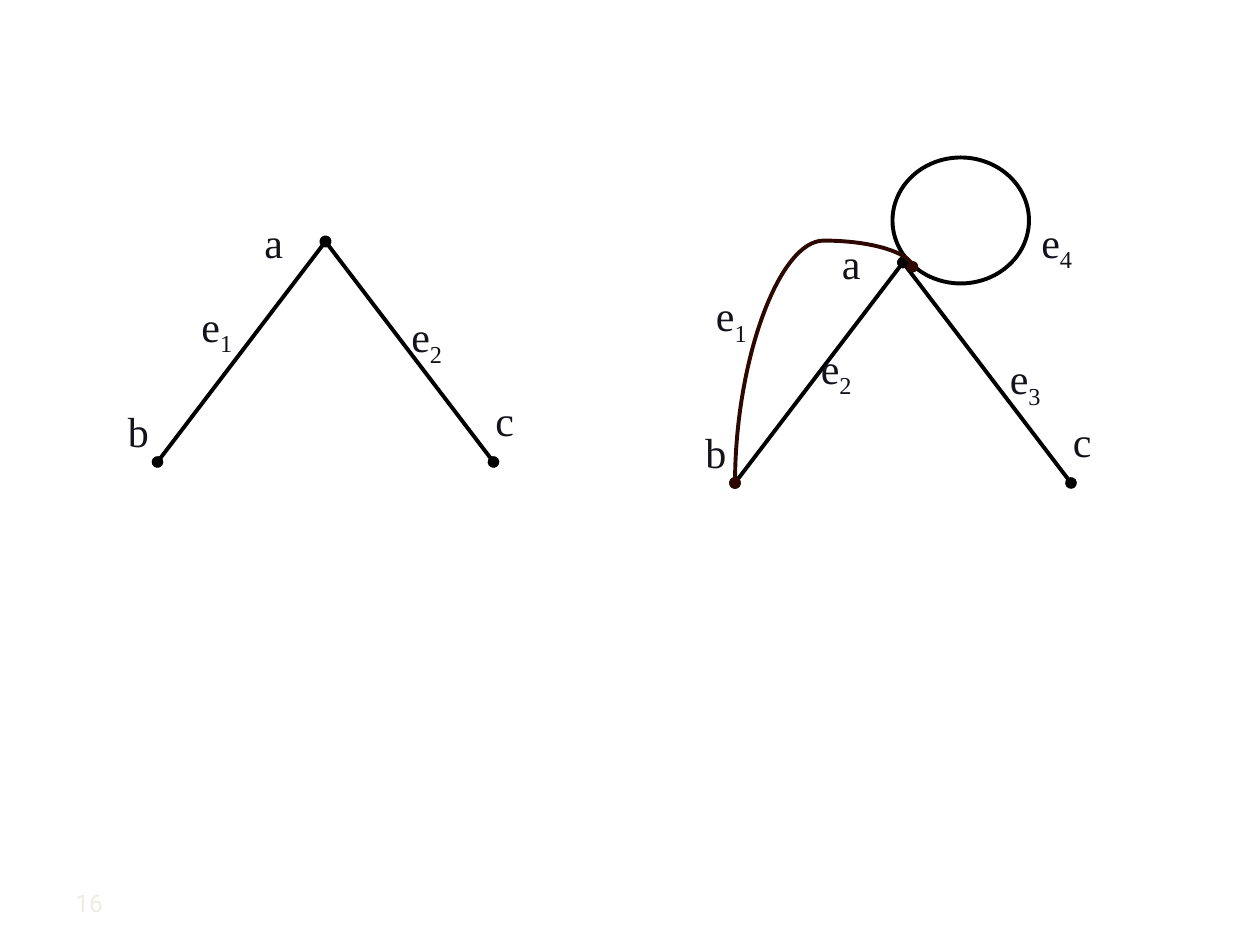
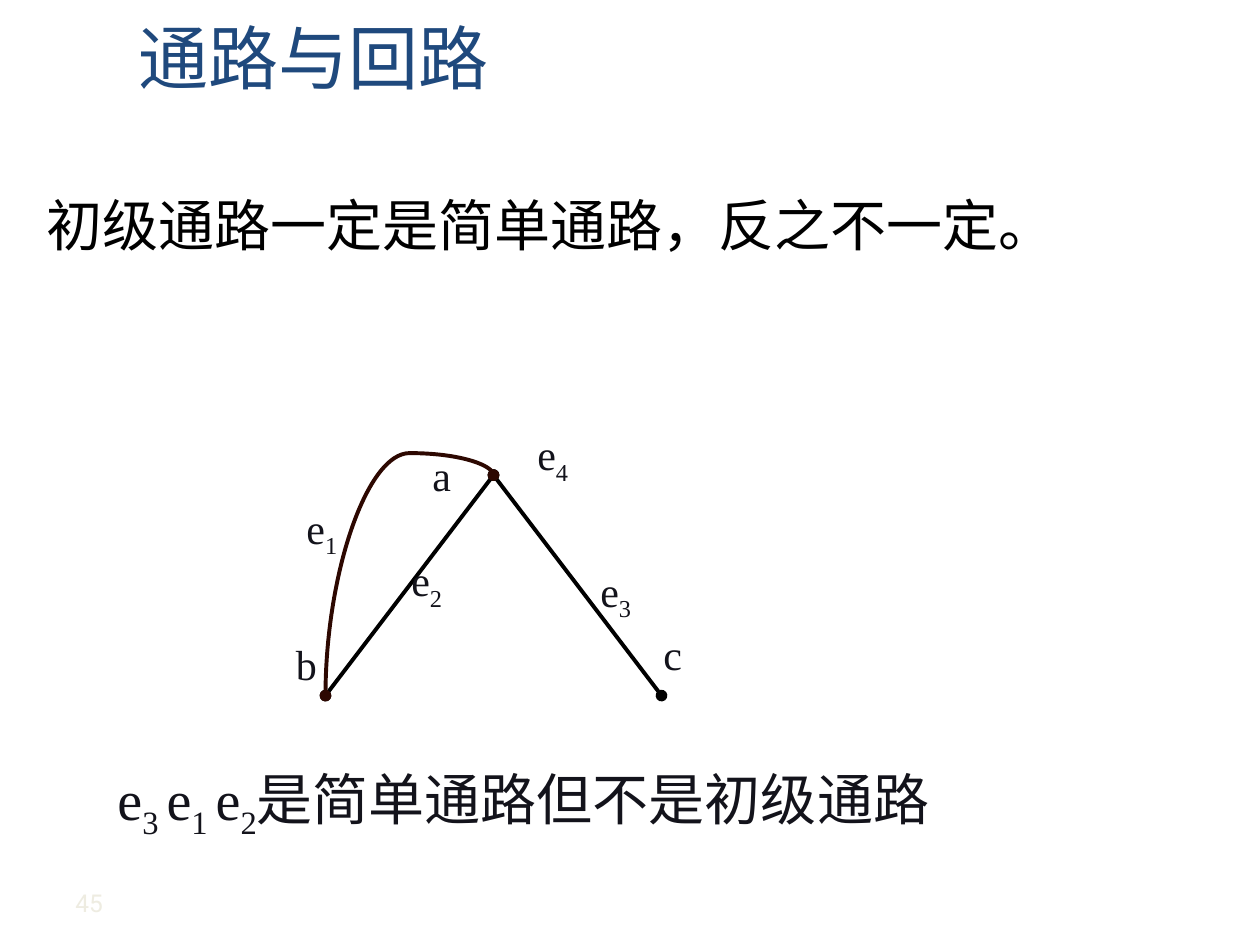
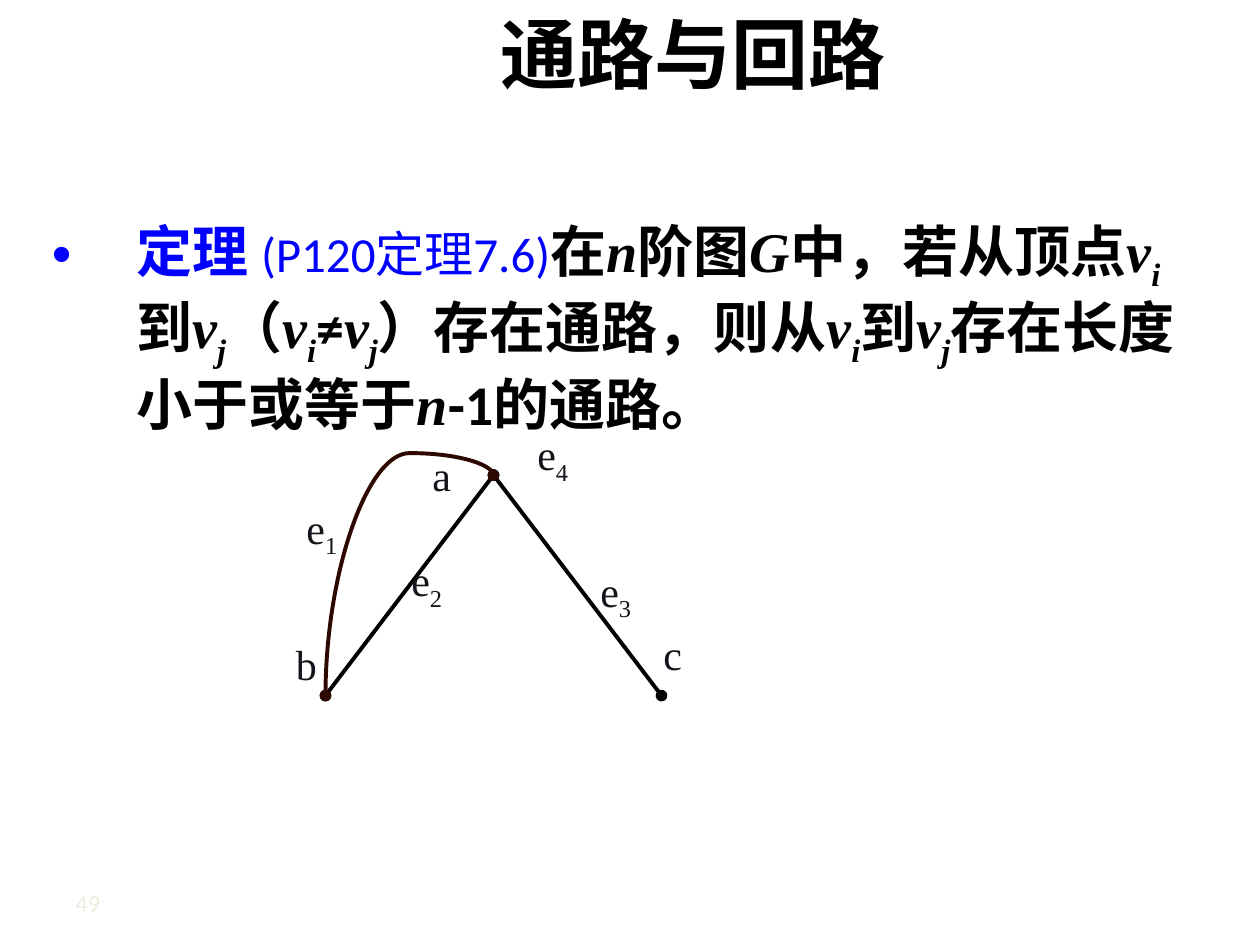
from lxml.etree import SubElement
from pptx import Presentation
from pptx.dml.color import RGBColor
from pptx.enum.shapes import MSO_CONNECTOR as Connector, MSO_SHAPE as Preset
from pptx.enum.text import MSO_ANCHOR as Anchor, MSO_AUTO_SIZE as AutoSize, PP_ALIGN as Align
from pptx.oxml.ns import qn
from pptx.util import Inches, Pt

# Shared look
BLACK, INK, BLUE = "000000", "13131B", "0000FF"
NAVY, BROWN, PALE = "1F497D", "2D0801", "EEECE1"
SERIF, SANS, ROBOTO, CJK = "Times New Roman", "Calibri", "Roboto", "Noto Sans CJK SC"
LINE_WIDTH = Pt(2.25)
TITLE = "通路与回路"
TITLE_BOX = (12, 0, 108, 10)
NUMBER_BOX = (6, 83.5, 28, 5)

# Graph geometry in cells, measured from the top vertex a
FOOT_X, FOOT_Y, CREST = 16, 21, 2.1
VERTEX_LABELS = {"a": (-7, -3), "b": (-20, 15), "c": (15, 14)}
PATH_LABELS = {"e1": (-13, 5), "e2": (7, 6)}
MULTI_LABELS = {"e1": (-19, 2), "e2": (-9, 7), "e3": (9, 8)}


def cells(*counts):
    """Lengths on a grid of 120 by 90 cells, twelve to the inch."""
    return [Inches(count / 12) for count in counts]


def color(hex_string):
    return RGBColor.from_string(hex_string)


def apply(target, values):
    for name, value in values.items():
        setattr(target, name, value)


# Text
def add_run(paragraph, text, size, font, ink, sub=False, **flags):
    run = paragraph.add_run()
    run.text = text
    apply(run.font, {"size": Pt(size), "name": font, **flags})
    run.font.color.rgb = color(ink)
    properties = run.font._element
    SubElement(properties, qn("a:ea"), typeface=CJK)
    if sub:
        properties.set("baseline", "-25000")


def fill_frame(shape, runs, anchor=Anchor.TOP, align=Align.LEFT):
    apply(shape.text_frame, {"word_wrap": True, "auto_size": AutoSize.NONE,
                             "vertical_anchor": anchor})
    paragraph = shape.text_frame.paragraphs[0]
    paragraph.alignment = align
    for text, style in runs:
        add_run(paragraph, text, **style)
    return paragraph


def add_text(slide, box, runs, **layout):
    return fill_frame(slide.shapes.add_textbox(*cells(*box)), runs, **layout)


def set_title(slide, style, **layout):
    title = slide.shapes.title
    apply(title, dict(zip(("left", "top", "width", "height"), cells(*TITLE_BOX))))
    fill_frame(title, [(TITLE, style)], **layout)


def add_number(slide, number, font=ROBOTO):
    style = {"size": 14, "font": font, "ink": PALE}
    add_text(slide, NUMBER_BOX, [(number, style)], anchor=Anchor.MIDDLE)


def indexed(names, size, gap=""):
    """Runs in which the digits after each letter are subscripts."""
    style = {"size": size, "font": SERIF, "ink": INK}
    runs = []
    for name in names:
        runs.append((name[0], style))
        if name[1:]:
            runs.append((name[1:] + gap, {**style, "sub": True}))
    return runs


# Graph parts
def add_edge(slide, start, end, ink=BLACK, kind=Connector.STRAIGHT):
    edge = slide.shapes.add_connector(kind, *cells(*start, *end))
    edge.line.color.rgb = color(ink)
    edge.line.width = LINE_WIDTH
    properties = edge._element.spPr
    for tag in ("a:headEnd", "a:tailEnd"):
        SubElement(properties.find(qn("a:ln")), qn(tag), type="oval")
    SubElement(properties, qn("a:effectLst"))
    return edge


def add_arc(slide, start, end, crest):
    """Curve that leaves upwards, reaches the crest and comes down to its end."""
    run, rise = end[0] - start[0], start[1] - end[1]
    middle_x, middle_y = (start[0] + end[0]) / 2, (start[1] + end[1]) / 2
    # A quarter turn back swaps the width and height of the frame
    corner = (middle_x - rise / 2, middle_y - run / 2)
    opposite = (middle_x + rise / 2, middle_y + run / 2)
    arc = add_edge(slide, corner, opposite, BROWN, Connector.CURVE)
    properties = arc._element.spPr
    properties.find(qn("a:xfrm")).set("rot", str(270 * 60000))
    adjust = round((start[1] - crest) / rise * 100000)
    SubElement(properties.find(qn("a:prstGeom")).find(qn("a:avLst")), qn("a:gd"),
               name="adj1", fmla=f"val {adjust}")


def add_loop(slide, box):
    loop = slide.shapes.add_shape(Preset.OVAL, *cells(*box))
    loop.shadow.inherit = False
    loop.fill.background()
    loop.line.color.rgb = color(BLACK)
    loop.line.width = LINE_WIDTH


def add_graph(slide, apex, edge_labels, arc_end=None):
    x, y = apex
    left_foot, right_foot = (x - FOOT_X, y + FOOT_Y), (x + FOOT_X, y + FOOT_Y)
    add_edge(slide, apex, right_foot)
    add_edge(slide, left_foot, apex)
    if arc_end:
        add_arc(slide, left_foot, (x + arc_end[0], y + arc_end[1]), y - CREST)
    for name, (dx, dy) in {**VERTEX_LABELS, **edge_labels}.items():
        add_text(slide, (x + dx, y + dy, 3 + 2 * len(name), 6), indexed([name], 24))


def add_multigraph(slide):
    add_graph(slide, (47, 45.25), {**MULTI_LABELS, "e4": (3, -5)}, arc_end=(0, 0))


# Slides
def build_two_graphs(slide):
    add_graph(slide, (31, 23), PATH_LABELS)
    add_loop(slide, (85, 15, 13, 12))
    add_graph(slide, (86, 25), {**MULTI_LABELS, "e4": (12, -5)}, arc_end=(0.9, 0.4))
    add_number(slide, "16")


def build_simple_path(slide):
    set_title(slide, {"size": 40, "font": ROBOTO, "ink": NAVY}, anchor=Anchor.BOTTOM)
    add_text(slide, (3.25, 17.6, 108, 7.6),
             [("初级通路一定是简单通路，反之不一定。", {"size": 32, "font": CJK, "ink": BLACK})])
    add_multigraph(slide)
    claim = ("是简单通路但不是初级通路", {"size": 32, "font": SERIF, "ink": INK})
    add_text(slide, (10, 72.25, 98, 7.6),
             indexed(["e3", "e1"], 32, gap=" ") + indexed(["e2"], 32) + [claim])
    add_number(slide, "45")


def build_theorem(slide):
    set_title(slide, {"size": 44, "font": SANS, "ink": BLACK, "bold": True},
              anchor=Anchor.MIDDLE, align=Align.CENTER)
    plain = {"size": 32, "font": SANS, "ink": BLACK, "bold": True}
    symbol = {**plain, "font": SERIF, "italic": True}
    heading = {**plain, "ink": BLUE}
    v_i, v_j = ([("v", symbol), (index, {**symbol, "sub": True})] for index in "ij")
    runs = [("定理 ", heading), ("(P120定理7.6)", {**heading, "size": 28, "bold": False}),
            ("在", plain), ("n", symbol), ("阶图", plain), ("G", symbol),
            ("中，若从顶点", plain), *v_i, ("到", plain), *v_j,
            ("（", plain), *v_i, ("≠", plain), *v_j,
            ("）存在通路，则从", plain), *v_i, ("到", plain), *v_j,
            ("存在长度小于或等于", plain), ("n", symbol), ("-1的通路。", plain)]
    paragraph = add_text(slide, (3.75, 20, 113.25, 19), runs)
    # Hanging bullet
    properties = paragraph._element.get_or_add_pPr()
    indent = Inches(0.67)
    properties.set("marL", str(indent))
    properties.set("indent", str(-indent))
    SubElement(properties, qn("a:buFont"), typeface="Arial")
    SubElement(properties, qn("a:buChar"), char="•")
    add_multigraph(slide)
    add_number(slide, "49", SANS)


def main():
    presentation = Presentation()
    apply(presentation, {"slide_width": Inches(10), "slide_height": Inches(7.5)})
    title_only, blank = presentation.slide_layouts[5], presentation.slide_layouts[6]
    for layout, build in ((blank, build_two_graphs), (title_only, build_simple_path),
                          (title_only, build_theorem)):
        build(presentation.slides.add_slide(layout))
    presentation.save("out.pptx")


if __name__ == "__main__":
    main()
